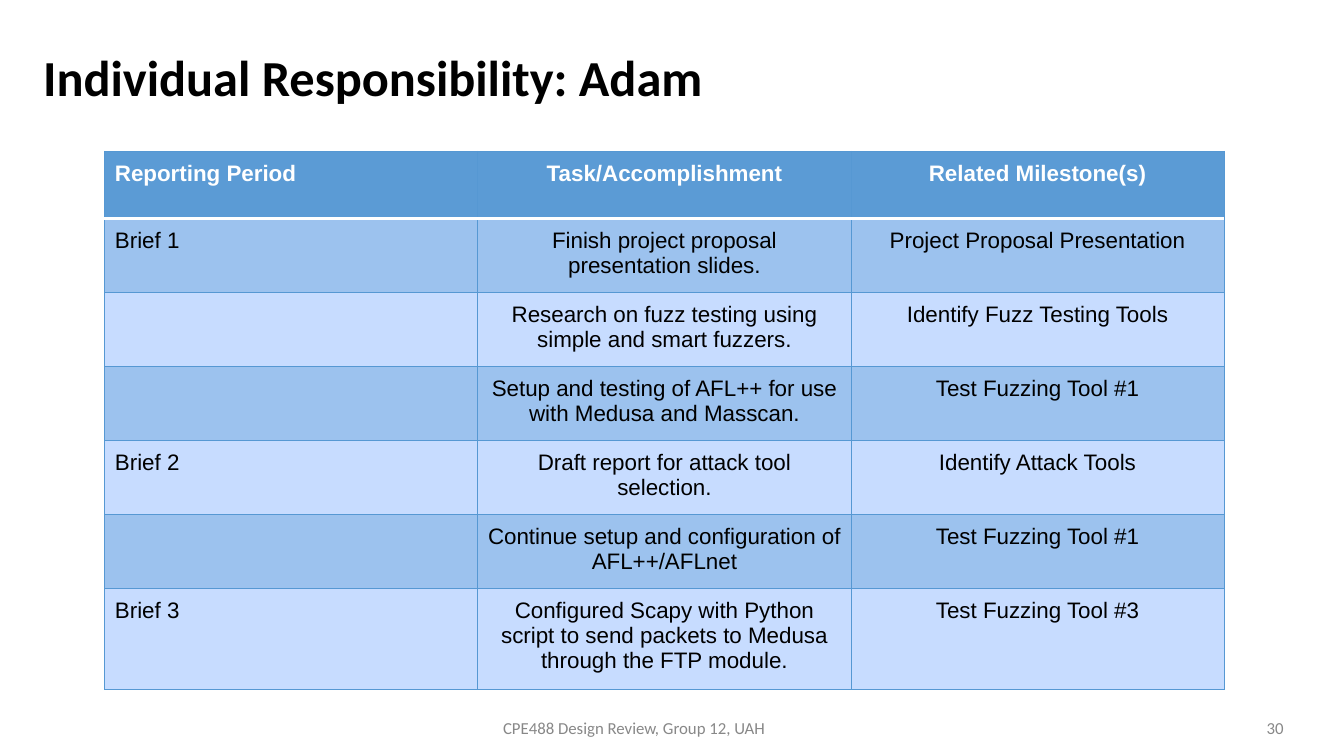
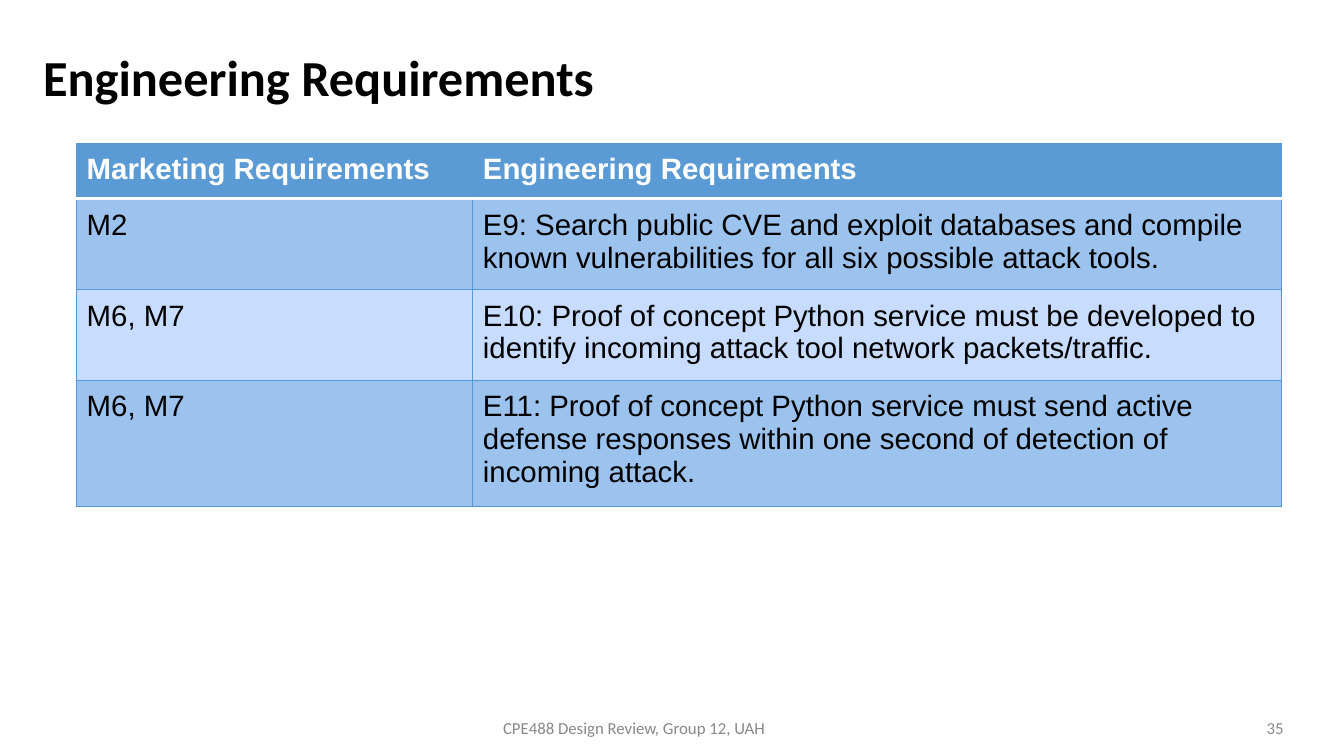
import pptx
import pptx.util
import pptx.dml.color
import pptx.enum.text
import pptx.oxml.ns
from lxml import etree

Inches, Pt = pptx.util.Inches, pptx.util.Pt
RGB = pptx.dml.color.RGBColor.from_string
ALIGN = pptx.enum.text.PP_ALIGN
ANCHOR = pptx.enum.text.MSO_ANCHOR

# Content
FOOTER = "CPE488 Design Review, Group 12, UAH"
SLIDES = [
    {
        "title": "Individual Responsibility: Adam",
        "number": "30",
        "at": (1.04, 1.5),
        "cols": [3.7, 3.7, 3.7],
        "row_heights": [0.67] + [0.69] * 5 + [0.94],
        "size": 16,
        "aligns": [ALIGN.LEFT, ALIGN.CENTER, ALIGN.CENTER],
        "rows": [
            ("Reporting Period", "Task/Accomplishment", "Related Milestone(s)"),
            ("Brief 1", "Finish project proposal presentation slides.",
             "Project Proposal Presentation"),
            ("", "Research on fuzz testing using simple and smart fuzzers.",
             "Identify Fuzz Testing Tools"),
            ("", "Setup and testing of AFL++ for use with Medusa and Masscan.",
             "Test Fuzzing Tool #1"),
            ("Brief 2", "Draft report for attack tool selection.",
             "Identify Attack Tools"),
            ("", "Continue setup and configuration of AFL++/AFLnet",
             "Test Fuzzing Tool #1"),
            ("Brief 3", "Configured Scapy with Python script to send packets "
             "to Medusa through the FTP module.", "Test Fuzzing Tool #3"),
        ],
    },
    {
        "title": "Engineering Requirements",
        "number": "35",
        "at": (0.76, 1.42),
        "cols": [3.93, 8.02],
        "row_heights": [0.52, 0.85, 0.85, 1.18],
        "size": 21,
        "aligns": [ALIGN.LEFT, ALIGN.LEFT],
        "rows": [
            ("Marketing Requirements", "Engineering Requirements"),
            ("M2", "E9: Search public CVE and exploit databases and compile "
             "known vulnerabilities for all six possible attack tools."),
            ("M6, M7", "E10: Proof of concept Python service must be developed "
             "to identify incoming attack tool network packets/traffic."),
            ("M6, M7", "E11: Proof of concept Python service must send active "
             "defense responses within one second of detection of incoming attack."),
        ],
    },
]


# Shared look
class Theme:
    heading_font, table_font = "Calibri", "Arial"
    title_size, footer_size = 36, 12
    text, footer, header_text = "000000", "888888", "FFFFFF"
    header_fill, bands = "5B9BD5", ("9CC2EE", "C7DCFF")
    grid = ("5698D3", 0.75)
    header_rule = ("FFFFFF", 2)
    cell_margin = 0.1


def style(p, font, size, color, bold=False, align=ALIGN.LEFT):
    p.alignment = align
    for r in p.runs:
        r.font.name, r.font.size, r.font.bold = font, Pt(size), bold
        r.font.color.rgb = RGB(color)


def add_text(s, text, box, size, color, **look):
    tf = s.shapes.add_textbox(*map(Inches, box)).text_frame
    tf.word_wrap = True
    tf.vertical_anchor = ANCHOR.MIDDLE
    tf.text = text
    p = tf.paragraphs[0]
    style(p, Theme.heading_font, size, color, **look)
    return p


def add_border(cell, side, color, width):
    qn = pptx.oxml.ns.qn
    ln = etree.SubElement(cell._tc.get_or_add_tcPr(), qn("a:ln" + side),
                          w=str(Pt(width)))
    fill = etree.SubElement(ln, qn("a:solidFill"))
    etree.SubElement(fill, qn("a:srgbClr"), val=color)


def style_cell(cell, row, text, size, align):
    header = row == 0
    cell.margin_left = cell.margin_right = Inches(Theme.cell_margin)
    cell.margin_top = cell.margin_bottom = Inches(Theme.cell_margin)
    # Borders precede the fill in the cell properties
    rule_side = {0: "B", 1: "T"}.get(row)
    for side in "LRTB":
        add_border(cell, side,
                   *(Theme.header_rule if side == rule_side else Theme.grid))
    cell.fill.solid()
    cell.fill.fore_color.rgb = RGB(
        Theme.header_fill if header else Theme.bands[(row - 1) % 2])
    cell.text = text
    style(cell.text_frame.paragraphs[0], Theme.table_font, size,
          Theme.header_text if header else Theme.text, header, align)


def add_table(s, data):
    rows, cols, heights = data["rows"], data["cols"], data["row_heights"]
    box = (*data["at"], sum(cols), sum(heights))
    table = s.shapes.add_table(len(rows), len(cols), *map(Inches, box)).table
    for column, width in zip(table.columns, cols):
        column.width = Inches(width)
    for i, (row, height) in enumerate(zip(rows, heights)):
        table.rows[i].height = Inches(height)
        for j, text in enumerate(row):
            style_cell(table.cell(i, j), i, text, data["size"], data["aligns"][j])


def add_slide(prs, data):
    s = prs.slides.add_slide(prs.slide_layouts[6])
    title = add_text(s, data["title"], (0.33, 0.34, 12.5, 0.91),
                     Theme.title_size, Theme.text, bold=True)
    title.line_spacing = 0.9
    add_table(s, data)
    # Footer and slide number
    add_text(s, FOOTER, (0.33, 7.08, 11.92, 0.28),
             Theme.footer_size, Theme.footer, align=ALIGN.CENTER)
    add_text(s, data["number"], (12.33, 7.08, 0.5, 0.28),
             Theme.footer_size, Theme.footer, align=ALIGN.RIGHT)


def main():
    prs = pptx.Presentation()
    prs.slide_width, prs.slide_height = Inches(13.33), Inches(7.5)
    for data in SLIDES:
        add_slide(prs, data)
    prs.save("out.pptx")


if __name__ == "__main__":
    main()
